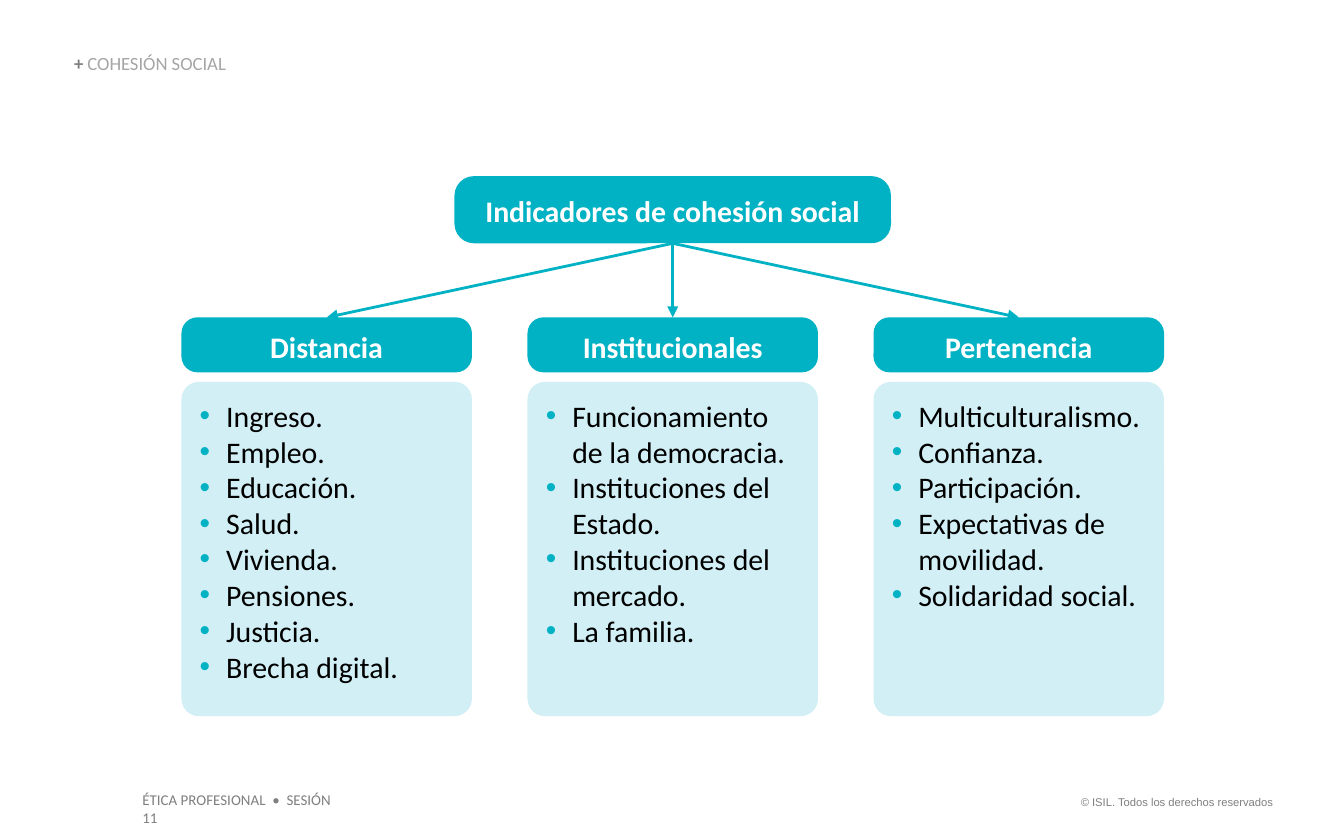
import pptx
import pptx.util
import pptx.dml.color
import pptx.enum.shapes
import pptx.enum.text
import pptx.oxml.ns
from lxml import etree
from pptx.util import Cm

COLORS = {"teal": "00B2C3", "pale": "D1EFF5", "white": "FFFFFF",
          "black": "000000", "gray": "7F7F7F", "light_gray": "A5A5A5"}
ALIGN = pptx.enum.text.PP_ALIGN
ANCHOR = pptx.enum.text.MSO_ANCHOR
COLUMNS = [
    ("Distancia", ["Ingreso.", "Empleo.", "Educación.", "Salud.", "Vivienda.",
                   "Pensiones.", "Justicia.", "Brecha digital."]),
    ("Institucionales", ["Funcionamiento de la democracia.", "Instituciones del Estado.",
                         "Instituciones del mercado.", "La familia."]),
    ("Pertenencia", ["Multiculturalismo.", "Confianza.", "Participación.",
                     "Expectativas de movilidad.", "Solidaridad social."]),
]


def rgb(name):
    """Return the named colour."""
    return pptx.dml.color.RGBColor.from_string(COLORS[name])


def add_child(parent, tag, **attributes):
    """Append a DrawingML element to its parent and return it."""
    child = etree.SubElement(parent, pptx.oxml.ns.qn(tag))
    for key, value in attributes.items():
        child.set(key, value)
    return child


def style_span(span, size, color, bold=False, font="Calibri"):
    """Set the font of a run."""
    span.font.name = font
    span.font.size = pptx.util.Pt(size)
    span.font.bold = bold
    span.font.color.rgb = rgb(color)


def add_panel(page, left, top, width, height, color, rounding):
    """Add a filled rounded rectangle without outline or shadow."""
    panel = page.shapes.add_shape(
        pptx.enum.shapes.MSO_SHAPE.ROUNDED_RECTANGLE, left, top, width, height)
    panel.adjustments[0] = rounding
    panel.shadow.inherit = False
    panel.fill.solid()
    panel.fill.fore_color.rgb = rgb(color)
    panel.line.fill.background()
    panel.text_frame.word_wrap = True
    return panel


def add_heading(page, left, top, width, height, text):
    """Add a teal panel with a centred bold heading."""
    panel = add_panel(page, left, top, width, height, "teal", 0.29)
    panel.text_frame.vertical_anchor = ANCHOR.MIDDLE
    para = panel.text_frame.paragraphs[0]
    para.text = text
    para.alignment = ALIGN.CENTER
    para.line_spacing = 1.07
    style_span(para.runs[0], 16, "white", True)
    return panel


def add_bullet(para):
    """Give a paragraph a hanging teal bullet."""
    properties = para._p.get_or_add_pPr()
    properties.set("marL", str(Cm(0.5)))
    properties.set("indent", str(-Cm(0.5)))
    color = add_child(properties, "a:buClr")
    add_child(color, "a:srgbClr", val=COLORS["teal"])
    add_child(properties, "a:buFont", typeface="Arial")
    add_child(properties, "a:buChar", char="•")


def add_column(page, left, top, width, height, title, items):
    """Add an indicator heading above its bulleted list and return the heading."""
    heading_height, gap = Cm(1.04), Cm(0.18)
    heading = add_heading(page, left, top, width, heading_height, title)
    offset = heading_height + gap
    panel = add_panel(page, left, top + offset, width, height - offset, "pale", 0.06)
    frame = panel.text_frame
    frame.margin_top = Cm(0.2)
    frame.vertical_anchor = ANCHOR.TOP
    frame.text = "\n".join(items)
    for para in frame.paragraphs:
        add_bullet(para)
        para.alignment = ALIGN.LEFT
        style_span(para.runs[0], 16, "black")
    return heading


def add_arrow(page, start, end):
    """Join the bottom of one panel to the top of another with an arrow."""
    arrow = page.shapes.add_connector(pptx.enum.shapes.MSO_CONNECTOR.STRAIGHT, 0, 0, 0, 0)
    arrow.begin_connect(start, 2)
    arrow.end_connect(end, 0)
    arrow.line.color.rgb = rgb("teal")
    arrow.line.width = pptx.util.Pt(1.5)
    add_child(arrow.line._get_or_add_ln(), "a:tailEnd", type="triangle")
    add_child(arrow._element.spPr, "a:effectLst")


def add_diagram(page, left, top, width, height):
    """Add the root heading, the three columns and the arrows between them."""
    root_width, column_width, column_offset = Cm(8.25), Cm(5.49), Cm(2.67)
    root = add_heading(page, left + (width - root_width) // 2, top, root_width, Cm(1.27),
                       "Indicadores de cohesión social")
    step = (width - column_width) // (len(COLUMNS) - 1)
    headings = [
        add_column(page, left + index * step, top + column_offset, column_width,
                   height - column_offset, title, items)
        for index, (title, items) in enumerate(COLUMNS)]
    for heading in headings:
        add_arrow(page, root, heading)


def add_text(page, left, top, width, height, text):
    """Add a wrapping text box and return its frame."""
    box = page.shapes.add_textbox(left, top, width, height)
    box.text_frame.word_wrap = True
    box.text_frame.text = text
    return box.text_frame


def add_section_label(page, left, top, width, height):
    """Add the section name at the top of the page."""
    frame = add_text(page, left, top, width, height, "+ ")
    frame.margin_left = frame.margin_right = frame.margin_top = frame.margin_bottom = 0
    frame.vertical_anchor = ANCHOR.BOTTOM
    para = frame.paragraphs[0]
    para.line_spacing = 0.9
    style_span(para.runs[0], 10, "gray", True)
    name = para.add_run()
    name.text = "COHESIÓN SOCIAL"
    style_span(name, 10, "light_gray")


def add_footer(page, left, top, width, height):
    """Add the course name on the left and the copyright line on the right."""
    course = add_text(page, left, top, Cm(4.42), height, "ÉTICA PROFESIONAL  •  SESIÓN 11")
    style_span(course.paragraphs[0].runs[0], 8, "gray")
    notice_width = Cm(4.3)
    notice = add_text(page, left + width - notice_width, top + Cm(0.08), notice_width,
                      Cm(0.5), "© ISIL. Todos los derechos reservados")
    notice.paragraphs[0].alignment = ALIGN.RIGHT
    style_span(notice.paragraphs[0].runs[0], 6, "gray", font="Arial")


def main():
    """Build the slide and save the deck."""
    deck = pptx.Presentation()
    deck.slide_width, deck.slide_height = Cm(25.4), Cm(15.88)
    page = deck.slides.add_slide(deck.slide_layouts[6])
    add_footer(page, Cm(2.44), Cm(14.83), Cm(21.87), Cm(0.6))
    add_section_label(page, Cm(1.4), Cm(1.04), Cm(13.28), Cm(0.38))
    add_diagram(page, Cm(3.43), Cm(3.33), Cm(18.57), Cm(10.21))
    deck.save("out.pptx")


if __name__ == "__main__":
    main()
